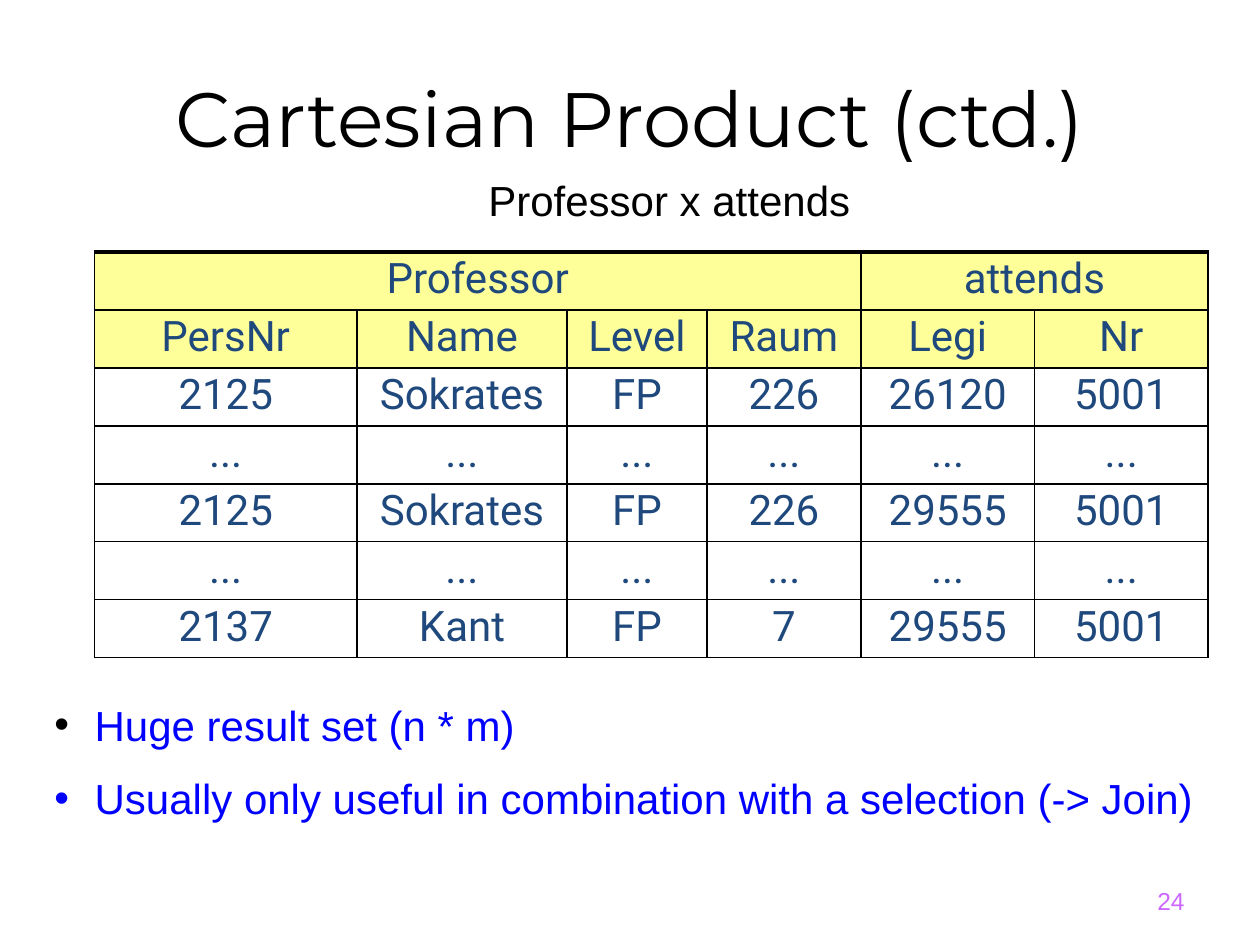
from lxml import etree
from pptx import Presentation
from pptx.dml.color import RGBColor
from pptx.enum.text import MSO_ANCHOR, MSO_AUTO_SIZE, PP_ALIGN
from pptx.oxml.ns import qn
from pptx.util import Pt

LEFT, CENTER, RIGHT = PP_ALIGN.LEFT, PP_ALIGN.CENTER, PP_ALIGN.RIGHT
TOP, MIDDLE = MSO_ANCHOR.TOP, MSO_ANCHOR.MIDDLE
NO_AUTOFIT = MSO_AUTO_SIZE.NONE
TITLE_ONLY = 5

TITLE = "Cartesian Product (ctd.)"
CAPTION = "Professor x attends"
GROUPS = [("Professor", 4), ("attends", 2)]
HEADINGS = ["PersNr", "Name", "Level", "Raum", "Legi", "Nr"]
GAP = ["..."] * len(HEADINGS)
RECORDS = [
    ["2125", "Sokrates", "FP", "226", "26120", "5001"],
    GAP,
    ["2125", "Sokrates", "FP", "226", "29555", "5001"],
    GAP,
    ["2137", "Kant", "FP", "7", "29555", "5001"],
]
BULLETS = [("Huge result set (n * m)", "000000"),
           ("Usually only useful in combination with a selection (-> Join)", "0000FF")]
PAGE_NUMBER = "24"

THEME = {
    "title": {"name": "Montserrat", "size": 44, "color": "000000"},
    "caption": {"name": "Arial", "size": 24, "color": "000000"},
    "cell": {"name": "Roboto", "size": 24, "color": "1F497D"},
    "bullet": {"name": "Arial", "size": 24, "color": "0000FF"},
    "number": {"name": "Arial", "size": 14, "color": "CC66FF"},
    "header_fill": "FFFF99",
    "body_fill": "FFFFFF",
    "border": "000000",
}

TITLE_AREA = (36, 21.6, 648, 90)
CAPTION_AREA = (272, 96, 221, 36)
BULLET_AREA = (24, 396, 696, 79)
NUMBER_AREA = (516, 500.4, 168, 28.8)
TABLE_LEFT, TABLE_TOP = 54, 144
COLUMN_WIDTHS = [150, 120, 80, 88, 99.2, 99.2]
ROW_HEIGHT = 33.12
BORDER_WIDTH, TOP_BORDER_WIDTH = 1, 2.25
BULLET_INDENT, BULLET_GAP = 23, 13


def set_all(target, values):
    """Set each named attribute of an object."""
    for name, value in values.items():
        setattr(target, name, value)


def write(para, text, style, align=LEFT):
    """Put one styled span of text in a paragraph."""
    para.alignment = align
    span = para.add_run()
    span.text = text
    look = THEME[style]
    set_all(span.font, {"name": look["name"], "size": Pt(look["size"])})
    span.font.color.rgb = RGBColor.from_string(look["color"])


def place(box, area):
    """Move and size a box."""
    set_all(box, dict(zip(("left", "top", "width", "height"), map(Pt, area))))


def add_text(page, area, text, style, align=LEFT, anchor=TOP, wrap=True):
    """Add a text box holding one paragraph."""
    frame = page.shapes.add_textbox(*map(Pt, area)).text_frame
    set_all(frame, {"word_wrap": wrap, "vertical_anchor": anchor})
    write(frame.paragraphs[0], text, style, align)


def add_title(page):
    """Fill the title placeholder."""
    place(page.shapes.title, TITLE_AREA)
    frame = page.shapes.title.text_frame
    set_all(frame, {"vertical_anchor": MIDDLE, "auto_size": NO_AUTOFIT})
    write(frame.paragraphs[0], TITLE, "title", CENTER)


def add_borders(cell, top_width):
    """Draw the four borders of a cell."""
    properties = cell._tc.get_or_add_tcPr()
    for position, side in enumerate("LRTB"):
        width = top_width if side == "T" else BORDER_WIDTH
        line = etree.Element(qn("a:ln" + side), w=str(Pt(width)))
        fill = etree.SubElement(line, qn("a:solidFill"))
        etree.SubElement(fill, qn("a:srgbClr"), val=THEME["border"])
        properties.insert(position, line)


def add_product_table(page):
    """Add the table with its grouped header."""
    group_row = [text for name, span in GROUPS for text in [name] + [""] * (span - 1)]
    rows = [group_row, HEADINGS] + RECORDS
    size = (sum(COLUMN_WIDTHS), ROW_HEIGHT * len(rows))
    table = page.shapes.add_table(len(rows), len(HEADINGS), Pt(TABLE_LEFT), Pt(TABLE_TOP),
                                  *map(Pt, size)).table
    for column, width in zip(table.columns, COLUMN_WIDTHS):
        column.width = Pt(width)
    for row_index, texts in enumerate(rows):
        table.rows[row_index].height = Pt(ROW_HEIGHT)
        fill = THEME["header_fill" if row_index < 2 else "body_fill"]
        for column_index, text in enumerate(texts):
            cell = table.cell(row_index, column_index)
            set_all(cell, {"margin_left": 0, "margin_right": 0,
                           "margin_top": Pt(3.6), "margin_bottom": Pt(3.6)})
            cell.fill.solid()
            cell.fill.fore_color.rgb = RGBColor.from_string(fill)
            add_borders(cell, BORDER_WIDTH if row_index else TOP_BORDER_WIDTH)
            if text:
                para = cell.text_frame.paragraphs[0]
                para.line_spacing = 0.9
                write(para, text, "cell", CENTER)
    start = 0
    for _, span in GROUPS:
        table.cell(0, start).merge(table.cell(0, start + span - 1))
        start += span


def add_bullets(page):
    """Add the bulleted remarks."""
    frame = page.shapes.add_textbox(*map(Pt, BULLET_AREA)).text_frame
    frame.word_wrap = True
    for index, (text, color) in enumerate(BULLETS):
        para = frame.add_paragraph() if index else frame.paragraphs[0]
        write(para, text, "bullet")
        para.space_after = Pt(BULLET_GAP)
        properties = para._p.get_or_add_pPr()
        properties.set("marL", str(Pt(BULLET_INDENT)))
        properties.set("indent", str(-Pt(BULLET_INDENT)))
        marker_color = etree.SubElement(properties, qn("a:buClr"))
        etree.SubElement(marker_color, qn("a:srgbClr"), val=color)
        etree.SubElement(properties, qn("a:buFont"), typeface=THEME["bullet"]["name"])
        etree.SubElement(properties, qn("a:buChar"), char="•")


deck = Presentation()
set_all(deck, {"slide_width": Pt(720), "slide_height": Pt(540)})
page = deck.slides.add_slide(deck.slide_layouts[TITLE_ONLY])
add_title(page)
add_product_table(page)
add_text(page, CAPTION_AREA, CAPTION, "caption", wrap=False)
add_bullets(page)
add_text(page, NUMBER_AREA, PAGE_NUMBER, "number", RIGHT, MIDDLE)
deck.save("out.pptx")
